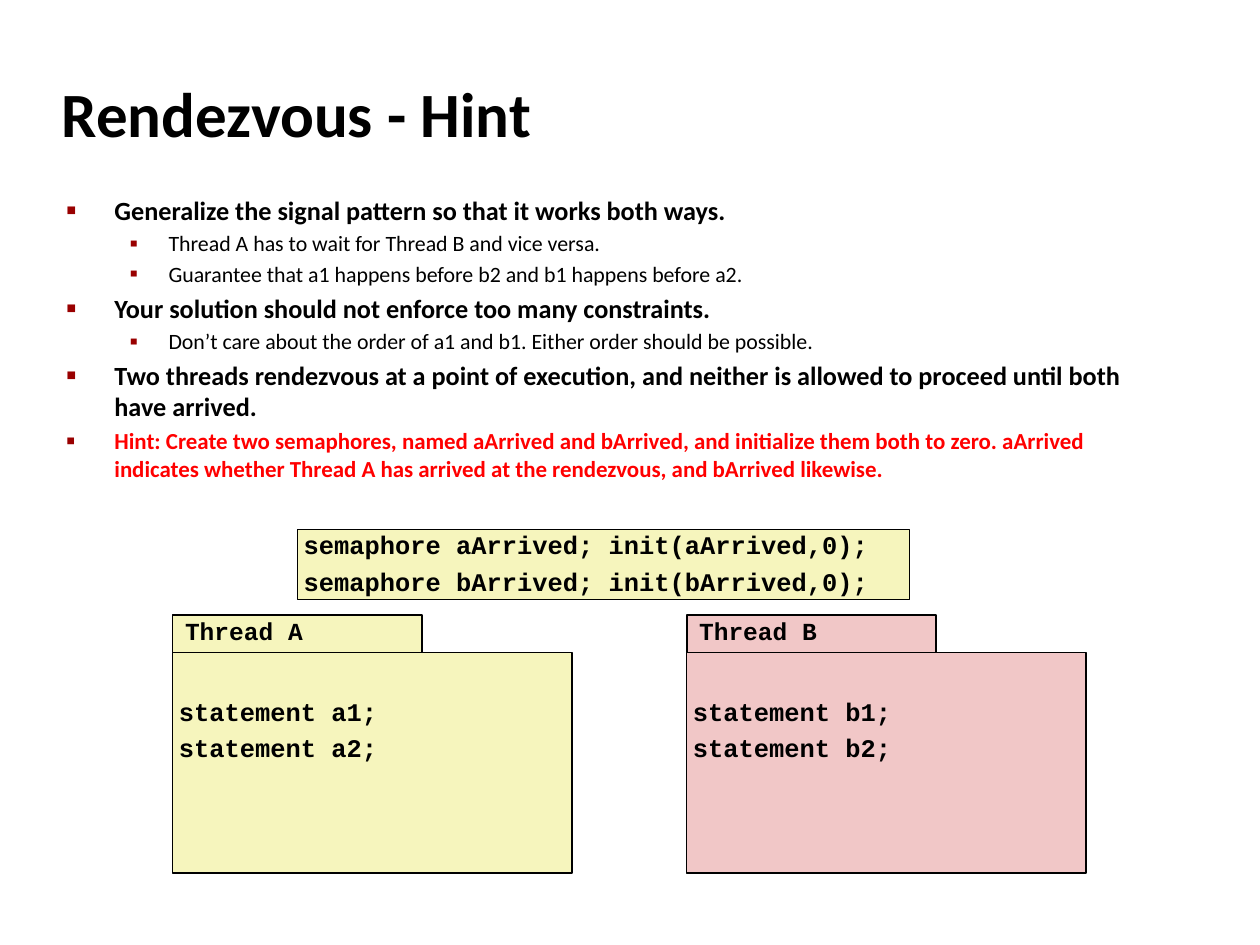
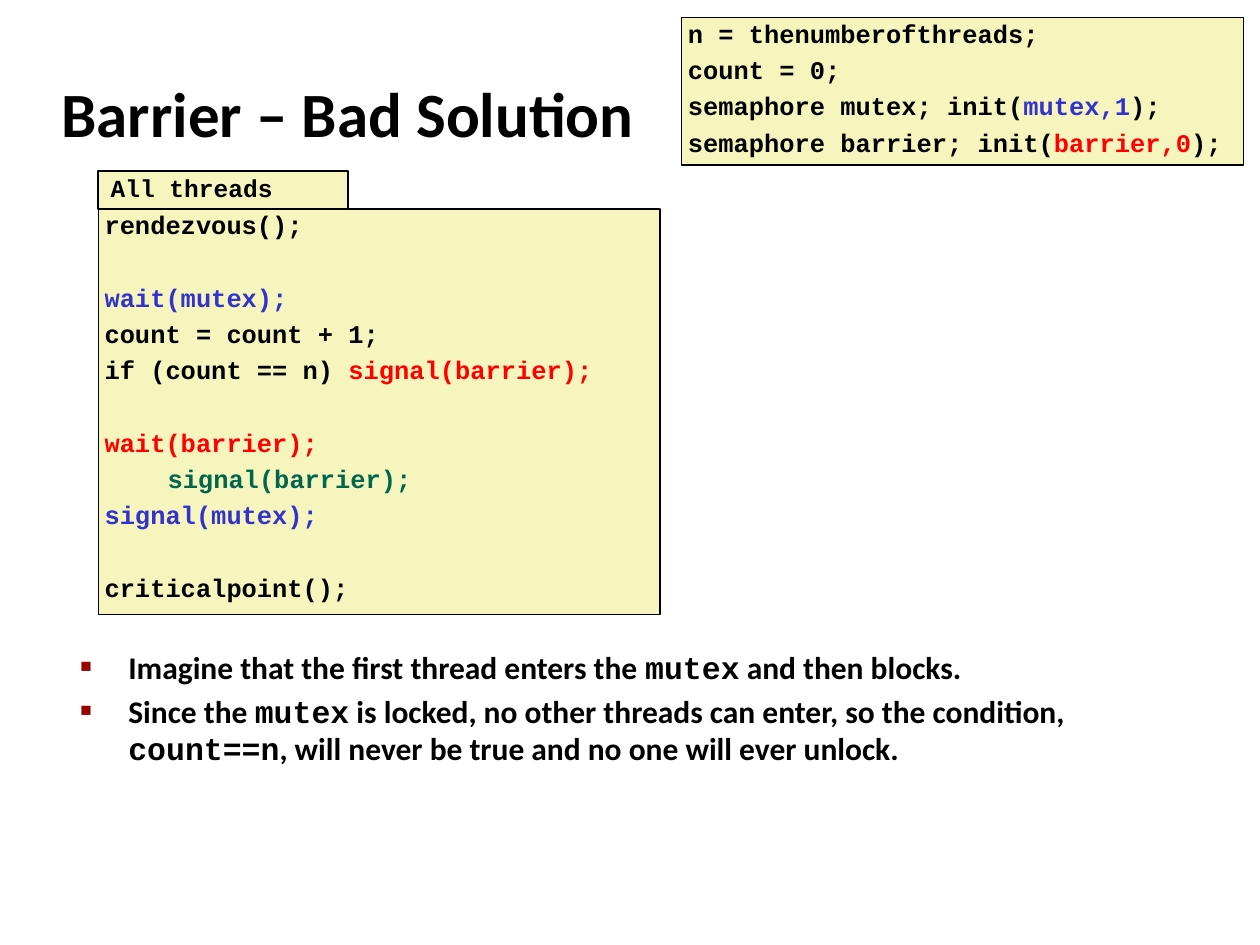
from lxml.etree import SubElement
from pptx import Presentation
from pptx.dml.color import RGBColor
from pptx.enum.shapes import MSO_SHAPE
from pptx.enum.text import MSO_ANCHOR, PP_ALIGN
from pptx.oxml.ns import qn
from pptx.util import Inches, Pt

BLACK = RGBColor(0, 0, 0)
WHITE = RGBColor(0xFF, 0xFF, 0xFF)
RED = RGBColor(0xFF, 0, 0)
BLUE = RGBColor(0x33, 0x33, 0xCC)
GREEN = RGBColor(0, 0x66, 0x4D)
MAROON = RGBColor(0x99, 0, 0)
YELLOW = RGBColor(0xF6, 0xF5, 0xBD)
PINK = RGBColor(0xF1, 0xC7, 0xC7)
SANS, MONO = "Calibri", "Courier New"
CODE_SIZE, CODE_GAP, BLANK_LINE = 14.5, 6.8, 20.7
TAB_W, TAB_H = 1.98, 0.3
LEVELS = [(0.38, -0.38, "■", 60), (0.81, -0.31, "▪", 110)]


def add_run(p, text, size, font=SANS, color=BLACK, bold=True):
    r = p.add_run()
    r.text = text
    r.font.size = Pt(size)
    r.font.name = font
    r.font.bold = bold
    r.font.color.rgb = color


def paragraphs(tf, items):
    for i, item in enumerate(items):
        yield (tf.add_paragraph() if i else tf.paragraphs[0]), item


def set_indent(p, left, first=0):
    pPr = p._p.get_or_add_pPr()
    pPr.set("marL", str(Inches(left)))
    pPr.set("indent", str(Inches(first)))
    return pPr


def set_bullet(p, level):
    left, first, char, percent = LEVELS[level]
    pPr = set_indent(p, left, first)
    color = SubElement(pPr, qn("a:buClr"))
    SubElement(color, qn("a:srgbClr"), val=str(MAROON))
    SubElement(pPr, qn("a:buSzPct"), val=str(percent * 1000))
    SubElement(pPr, qn("a:buFont"), typeface="Arial")
    SubElement(pPr, qn("a:buChar"), char=char)


def text_box(s, x, y, w, h):
    sp = s.shapes.add_textbox(Inches(x), Inches(y), Inches(w), Inches(h))
    sp.text_frame.word_wrap = True
    return sp


def add_title(s, text):
    sp = text_box(s, 0.39, 0.48, 8.3, 0.83)
    sp.fill.solid()
    sp.fill.fore_color.rgb = WHITE
    tf = sp.text_frame
    tf.vertical_anchor = MSO_ANCHOR.MIDDLE
    add_run(tf.paragraphs[0], text, 36)


def add_bullets(s, x, y, w, h, items):
    tf = text_box(s, x, y, w, h).text_frame
    for p, (level, size, color, runs) in paragraphs(tf, items):
        p.space_before = Pt(size * 0.2)
        set_bullet(p, level)
        for text, font in runs:
            add_run(p, text, size, font, color, bold=level == 0)


def add_panel(s, x, y, w, h, fill, line_width, inset_x, inset_top=0.05):
    sp = s.shapes.add_shape(MSO_SHAPE.RECTANGLE, Inches(x), Inches(y), Inches(w), Inches(h))
    sp.shadow.inherit = False
    sp.fill.solid()
    sp.fill.fore_color.rgb = fill
    sp.line.color.rgb = BLACK
    sp.line.width = Pt(line_width)
    tf = sp.text_frame
    tf.word_wrap = True
    tf.margin_left = tf.margin_right = Inches(inset_x)
    tf.margin_top, tf.margin_bottom = Inches(inset_top), Inches(0.05)
    return tf


def format_code(p, blanks=0):
    p.alignment = PP_ALIGN.LEFT
    p.line_spacing = 0.8
    p.space_before = Pt(CODE_GAP + blanks * BLANK_LINE)


def add_code(s, x, y, w, h, lines, fill=YELLOW, inset_top=0.05):
    tf = add_panel(s, x, y, w, h, fill, 0.75, 0.05, inset_top)
    tf.vertical_anchor = MSO_ANCHOR.TOP
    for p, (blanks, left, runs) in paragraphs(tf, lines):
        format_code(p, blanks)
        set_indent(p, left)
        for text, color in runs:
            add_run(p, text, CODE_SIZE, MONO, color)


def add_thread(s, x, y, w, h, label, lines, fill=YELLOW, inset_top=0.05):
    add_code(s, x, y + TAB_H, w, h - TAB_H, lines, fill, inset_top)
    tf = add_panel(s, x, y, TAB_W, TAB_H, fill, 1, 0.1)
    tf.vertical_anchor = MSO_ANCHOR.MIDDLE
    p = tf.paragraphs[0]
    format_code(p)
    add_run(p, label, 14, MONO)


def code(*runs, blanks=0, left=0):
    return blanks, left, runs


def rendezvous_slide(prs):
    s = prs.slides.add_slide(prs.slide_layouts[6])
    add_title(s, "Rendezvous - Hint")
    points = [
        (0, 15, BLACK, "Generalize the signal pattern so that it works both ways."),
        (1, 12.5, BLACK, "Thread A has to wait for Thread B and vice versa."),
        (1, 12.5, BLACK, "Guarantee that a1 happens before b2 and b1 happens before a2."),
        (0, 15, BLACK, "Your solution should not enforce too many constraints."),
        (1, 12.5, BLACK, "Don’t care about the order of a1 and b1. Either order should be possible."),
        (0, 15, BLACK, "Two threads rendezvous at a point of execution, and neither is "
                       "allowed to proceed until both have arrived."),
        (0, 13.1, RED, "Hint: Create two semaphores, named aArrived and bArrived, and "
                       "initialize them both to zero. aArrived indicates whether Thread A "
                       "has arrived at the rendezvous, and bArrived likewise."),
    ]
    add_bullets(s, 0.43, 1.49, 8.64, 2.64,
                [(level, size, color, [(text, SANS)]) for level, size, color, text in points])
    add_code(s, 2.36, 4.2, 4.86, 0.56,
             [code((f"semaphore {n}Arrived; init({n}Arrived,0);", BLACK)) for n in "ab"])
    for x, name, fill in [(1.37, "A", YELLOW), (5.45, "B", PINK)]:
        lines = [code((f"statement {name.lower()}{i};", BLACK)) for i in (1, 2)]
        add_thread(s, x, 4.88, 3.17, 2.05, f"Thread {name}", lines, fill, inset_top=0.39)


def barrier_slide(prs):
    s = prs.slides.add_slide(prs.slide_layouts[6])
    add_title(s, "Barrier – Bad Solution")
    add_bullets(s, 0.54, 5.09, 8.85, 1.63, [
        (0, 18, BLACK, [("Imagine that the first thread enters the ", SANS), ("mutex", MONO),
                        (" and then blocks.", SANS)]),
        (0, 18, BLACK, [("Since the ", SANS), ("mutex", MONO),
                        (" is locked, no other threads can enter, so the condition, ", SANS),
                        ("count==n", MONO),
                        (", will never be true and no one will ever unlock.", SANS)]),
    ])
    add_thread(s, 0.78, 1.36, 4.46, 3.52, "All threads", [
        code(("rendezvous();", BLACK)),
        code(("wait(mutex);", BLUE), blanks=1),
        code(("count = count + 1;", BLACK)),
        code(("if (count == n) ", BLACK), ("signal(barrier);", RED)),
        code(("wait(barrier);", RED), blanks=1),
        code(("signal(barrier);", GREEN), left=0.5),
        code(("signal(mutex);", BLUE)),
        code(("criticalpoint();", BLACK), blanks=1),
    ])
    add_code(s, 5.41, 0.14, 4.46, 1.17, [
        code(("n = thenumberofthreads;", BLACK)),
        code(("count = 0;", BLACK)),
        code(("semaphore mutex; init(", BLACK), ("mutex,1", BLUE), (");", BLACK)),
        code(("semaphore barrier; init(", BLACK), ("barrier,0", RED), (");", BLACK)),
    ])


def main():
    prs = Presentation()
    prs.slide_width, prs.slide_height = Inches(10), Inches(7.5)
    rendezvous_slide(prs)
    barrier_slide(prs)
    prs.save("out.pptx")


if __name__ == "__main__":
    main()
